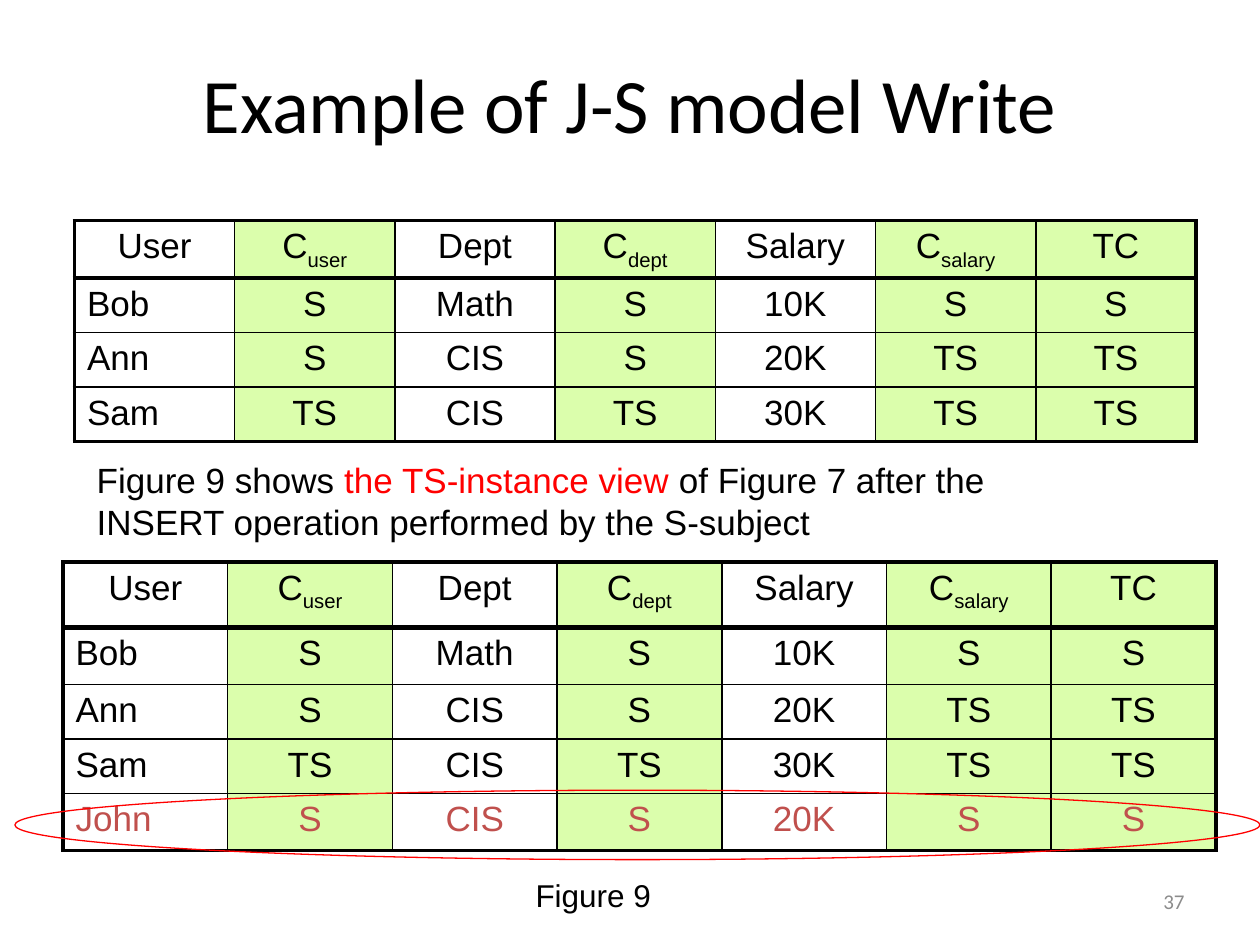
"""Build the slide on writing in the J-S model, with two labelled tables."""
import pptx
import pptx.dml.color
import pptx.enum.shapes
import pptx.enum.text
import pptx.oxml
import pptx.oxml.ns
import pptx.util

Cm = pptx.util.Cm
Pt = pptx.util.Pt
RGB = pptx.dml.color.RGBColor
ALIGN = pptx.enum.text.PP_ALIGN
ANCHOR = pptx.enum.text.MSO_ANCHOR
FIT = pptx.enum.text.MSO_AUTO_SIZE

BLACK = RGB(0x00, 0x00, 0x00)
RED = RGB(0xFF, 0x00, 0x00)
BRICK = RGB(0xC0, 0x50, 0x4D)
GREEN = RGB(0xDB, 0xFE, 0xAC)
GREY = RGB(0x8C, 0x8C, 0x8C)

HEAD = ["User", "C_user", "Dept", "C_dept", "Salary", "C_salary", "TC"]
STAFF = [
    ["Bob", "S", "Math", "S", "10K", "S", "S"],
    ["Ann", "S", "CIS", "S", "20K", "TS", "TS"],
    ["Sam", "TS", "CIS", "TS", "30K", "TS", "TS"],
]
JOHN = ["John", "S", "CIS", "S", "20K", "S", "S"]
SHADED = {1, 3, 5, 6}


def add_run(para, text, size, color=BLACK, face="Arial"):
    run = para.add_run()
    run.text = text
    run.font.size = Pt(size)
    run.font.name = face
    run.font.color.rgb = color
    return run


def add_edge(cell, side, place, width):
    edge = pptx.oxml.parse_xml(
        f'<a:ln{side} {pptx.oxml.ns.nsdecls("a")} w="{Pt(width)}">'
        f'<a:solidFill><a:srgbClr val="{BLACK}"/></a:solidFill></a:ln{side}>'
    )
    cell._tc.get_or_add_tcPr().insert(place, edge)


deck = pptx.Presentation()
deck.slide_width = Cm(25.4)
deck.slide_height = Cm(19.05)
slide = deck.slides.add_slide(deck.slide_layouts[6])
shapes = slide.shapes

grids = [
    (1.5, 4.45, 3.23, [1.1] * 4, [HEAD] + STAFF),
    (1.27, 11.33, 3.32, [1.32, 1.15, 1.1, 1.1, 1.15], [HEAD] + STAFF + [JOHN]),
]
for left, top, wide, highs, rows in grids:
    frame = shapes.add_table(
        len(rows), len(HEAD), Cm(left), Cm(top), Cm(wide * len(HEAD)), Cm(sum(highs))
    )
    table = frame.table
    table.first_row = False
    table.horz_banding = False
    for col in table.columns:
        col.width = Cm(wide)
    for r, (high, row) in enumerate(zip(highs, rows)):
        table.rows[r].height = Cm(high)
        for c, text in enumerate(row):
            cell = table.cell(r, c)
            edges = {
                "L": 2.25 if c == 0 else 1,
                "R": 2.25 if c == len(row) - 1 else 1,
                "T": {0: 2.25, 1: 3}.get(r, 1),
                "B": {0: 3, len(rows) - 1: 2.25}.get(r, 1),
            }
            for place, (side, width) in enumerate(edges.items()):
                add_edge(cell, side, place, width)
            if c in SHADED:
                cell.fill.solid()
                cell.fill.fore_color.rgb = GREEN
            else:
                cell.fill.background()
            para = cell.text_frame.paragraphs[0]
            para.alignment = ALIGN.LEFT if r and c == 0 else ALIGN.CENTER
            base, _, sub = text.partition("_")
            color = BRICK if row is JOHN else BLACK
            add_run(para, base, 20, color)
            if sub:
                low = add_run(para, sub, 20, color)
                low._r.get_or_add_rPr().set("baseline", "-25000")

story = [
    ("Figure 9 shows ", BLACK),
    ("the TS-instance view ", RED),
    ("of Figure 7 after the INSERT operation performed by the S-subject", BLACK),
]
title = [("Example of J-S model Write", BLACK)]
label = [("Figure 9", BLACK)]
page = [("37", GREY)]
notes = [
    (1.27, 0.76, 22.86, 2.62, title, 44, "Calibri", ALIGN.CENTER, ANCHOR.MIDDLE, FIT.NONE),
    (1.7, 9.12, 21.16, 1.96, story, 20, "Arial", ALIGN.LEFT, ANCHOR.TOP, FIT.SHAPE_TO_FIT_TEXT),
    (9.1, 17.53, 5.72, 1.02, label, 18, "Arial", ALIGN.CENTER, ANCHOR.TOP, FIT.SHAPE_TO_FIT_TEXT),
    (18.2, 17.66, 5.93, 1.01, page, 12, "Calibri", ALIGN.RIGHT, ANCHOR.MIDDLE, FIT.NONE),
]
for left, top, wide, high, parts, size, face, align, anchor, fit in notes:
    box = shapes.add_textbox(Cm(left), Cm(top), Cm(wide), Cm(high))
    body = box.text_frame
    body.word_wrap = True
    body.auto_size = fit
    body.vertical_anchor = anchor
    para = body.paragraphs[0]
    para.alignment = align
    for text, color in parts:
        add_run(para, text, size, color, face)

ring = shapes.add_shape(
    pptx.enum.shapes.MSO_SHAPE.OVAL, Cm(0.3), Cm(15.93), Cm(25.1), Cm(1.4)
)
ring.shadow.inherit = False
ring.fill.background()
ring.line.color.rgb = RED
ring.line.width = Pt(0.75)

deck.save("out.pptx")
